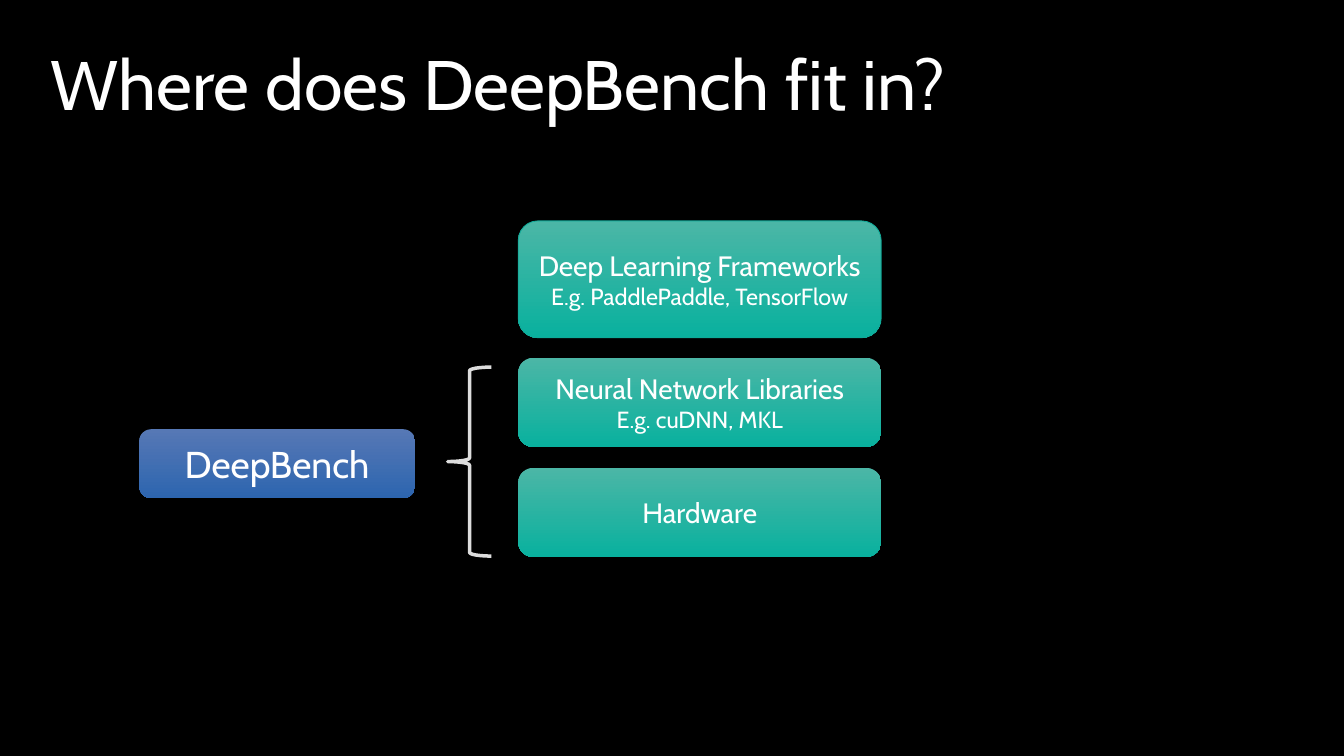
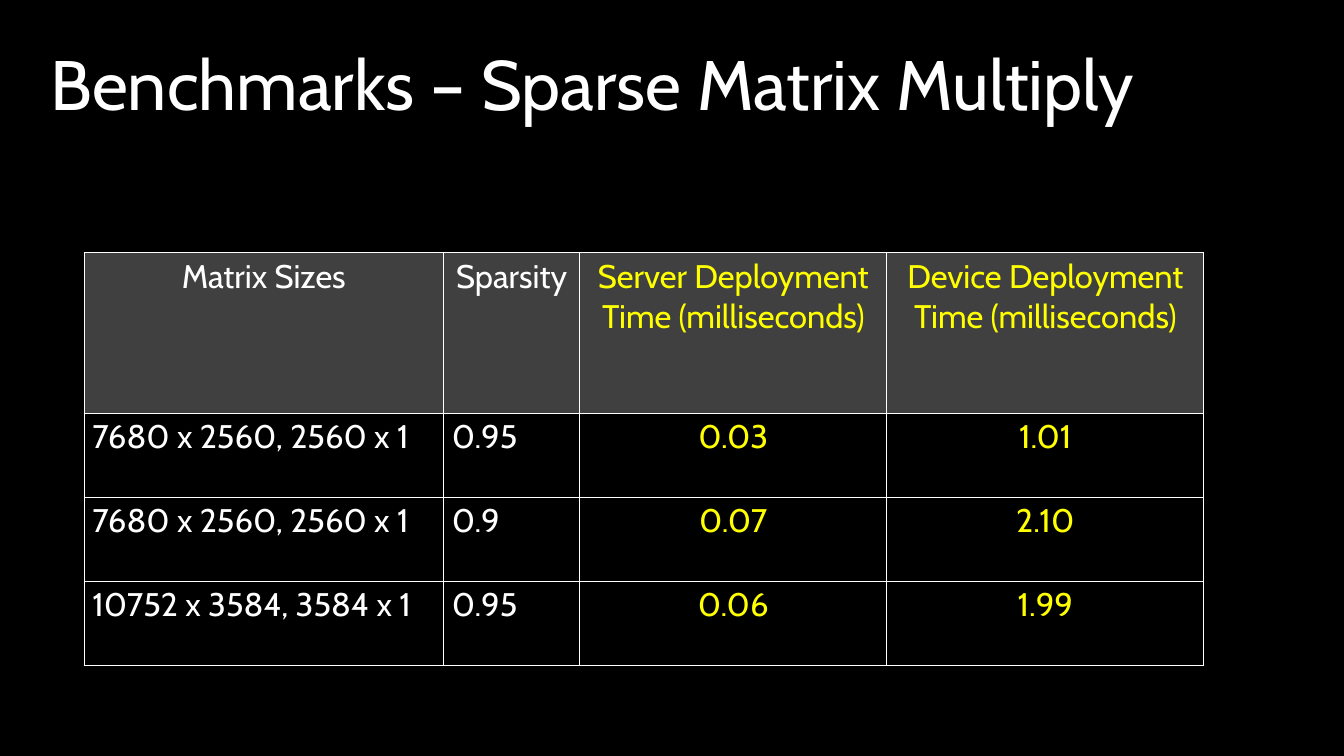
"""Build two slides: where DeepBench fits in, and its sparse matrix benchmarks."""
from dataclasses import dataclass
from typing import Optional

from lxml import etree
from pptx import Presentation
from pptx.dml.color import RGBColor
from pptx.enum import shapes as es, text as et
from pptx.oxml import ns
from pptx.util import Inches, Pt

FONT = "Cabin"
HUES = {
    "back": "000000", "white": "FFFFFF", "gold": "FFFF00", "head": "404040",
    "teal_top": "4BB6A6", "teal_low": "09B19E", "teal_edge": "11AA99",
    "blue_top": "5678B5", "blue_low": "2D65AF", "brace": "DDDDDD",
}


@dataclass(frozen=True)
class Box:
    left: float
    top: float
    width: float
    height: float
    lines: tuple
    hue: str = "teal"
    edge: Optional[str] = None


@dataclass(frozen=True)
class Col:
    width: float
    head: tuple
    cells: tuple
    hue: str = "white"
    align: et.PP_ALIGN = et.PP_ALIGN.LEFT


STACK = {"left": 6.17, "width": 4.32}
BOXES = (
    Box(top=2.63, height=1.39, edge="teal_edge", **STACK, lines=(
        ("Deep Learning Frameworks", 24), ("E.g. PaddlePaddle, TensorFlow", 20))),
    Box(top=4.26, height=1.06, **STACK, lines=(
        ("Neural Network Libraries", 24), ("E.g. cuDNN, MKL", 20))),
    Box(top=5.57, height=1.06, **STACK, lines=(("Hardware", 24),)),
    Box(1.66, 5.11, 3.28, 0.82, (("DeepBench", 32),), "blue"),
)
TIMES = {"hue": "gold", "align": et.PP_ALIGN.CENTER}
COLS = (
    Col(4.28, ("Matrix Sizes",), (
        "7680 x 2560, 2560 x 1", "7680 x 2560, 2560 x 1", "10752 x 3584, 3584 x 1")),
    Col(1.62, ("Sparsity",), ("0.95", "0.9", "0.95")),
    Col(3.66, ("Server Deployment", "Time (milliseconds)"), ("0.03", "0.07", "0.06"), **TIMES),
    Col(3.77, ("Device Deployment", "Time (milliseconds)"), ("1.01", "2.10", "1.99"), **TIMES),
)
ROWS = (1.91, 1, 1, 1)


def tint(name: str) -> RGBColor:
    return RGBColor.from_string(HUES[name])


def place(left: float, top: float, width: float, height: float) -> tuple:
    return tuple(Inches(n) for n in (left, top, width, height))


def write(frame, lines, hue="white", align=et.PP_ALIGN.LEFT, pitch=None) -> None:
    frame.word_wrap = True
    for i, (words, size) in enumerate(lines):
        para = frame.add_paragraph() if i else frame.paragraphs[0]
        para.alignment = align
        if pitch:
            para.line_spacing = pitch
        run = para.add_run()
        run.text = words
        run.font.name, run.font.size = FONT, Pt(size)
        run.font.color.rgb = tint(hue)


def start(deck, title: str):
    slide = deck.slides.add_slide(deck.slide_layouts[6])
    fill = slide.background.fill
    fill.solid()
    fill.fore_color.rgb = tint("back")
    frame = slide.shapes.add_textbox(*place(0.5, 0.5, 15, 1.2)).text_frame
    frame.margin_top = frame.margin_bottom = Inches(0.1)
    write(frame, [(title, 60)], pitch=0.9)
    return slide


def trace(shape, hue: Optional[str], width: float) -> None:
    shape.shadow.inherit = False
    if hue:
        shape.line.color.rgb = tint(hue)
        shape.line.width = Pt(width)
    else:
        shape.line.fill.background()


def draw_box(slide, box: Box) -> None:
    shape = slide.shapes.add_shape(
        es.MSO_SHAPE.ROUNDED_RECTANGLE, *place(box.left, box.top, box.width, box.height))
    trace(shape, box.edge, 0.75)
    shape.fill.gradient()
    shape.fill.gradient_angle = 270
    for stop, end in zip(shape.fill.gradient_stops, ("top", "low")):
        stop.color.rgb = tint(f"{box.hue}_{end}")
    shape.text_frame.vertical_anchor = et.MSO_ANCHOR.MIDDLE
    write(shape.text_frame, box.lines, align=et.PP_ALIGN.CENTER)


def draw_brace(slide) -> None:
    brace = slide.shapes.add_shape(es.MSO_SHAPE.LEFT_BRACE, *place(5.33, 4.37, 0.52, 2.25))
    brace.fill.background()
    trace(brace, "brace", 3)


def rule(cell) -> None:
    props = cell._tc.get_or_add_tcPr()
    for side in ("lnL", "lnR", "lnT", "lnB"):
        line = etree.SubElement(props, ns.qn(f"a:{side}"), w=str(Pt(0.96)))
        fill = etree.SubElement(line, ns.qn("a:solidFill"))
        etree.SubElement(fill, ns.qn("a:srgbClr"), val=HUES["white"])


def draw_table(slide) -> None:
    width = sum(col.width for col in COLS)
    table = slide.shapes.add_table(
        len(ROWS), len(COLS), *place(1, 3.01, width, sum(ROWS))).table
    table.first_row = table.horz_banding = False
    for row, height in zip(table.rows, ROWS):
        row.height = Inches(height)
    for x, col in enumerate(COLS):
        table.columns[x].width = Inches(col.width)
        for y, lines in enumerate((col.head, *((words,) for words in col.cells))):
            cell = table.cell(y, x)
            rule(cell)
            if y:
                cell.fill.background()
            else:
                cell.fill.solid()
                cell.fill.fore_color.rgb = tint("head")
            write(cell.text_frame, [(words, 28) for words in lines], col.hue,
                  col.align if y else et.PP_ALIGN.CENTER)


def main() -> None:
    deck = Presentation()
    deck.slide_width, deck.slide_height = Inches(16), Inches(9)
    slide = start(deck, "Where does DeepBench fit in?")
    for box in BOXES:
        draw_box(slide, box)
    draw_brace(slide)
    draw_table(start(deck, "Benchmarks – Sparse Matrix Multiply"))
    deck.save("out.pptx")


if __name__ == "__main__":
    main()
